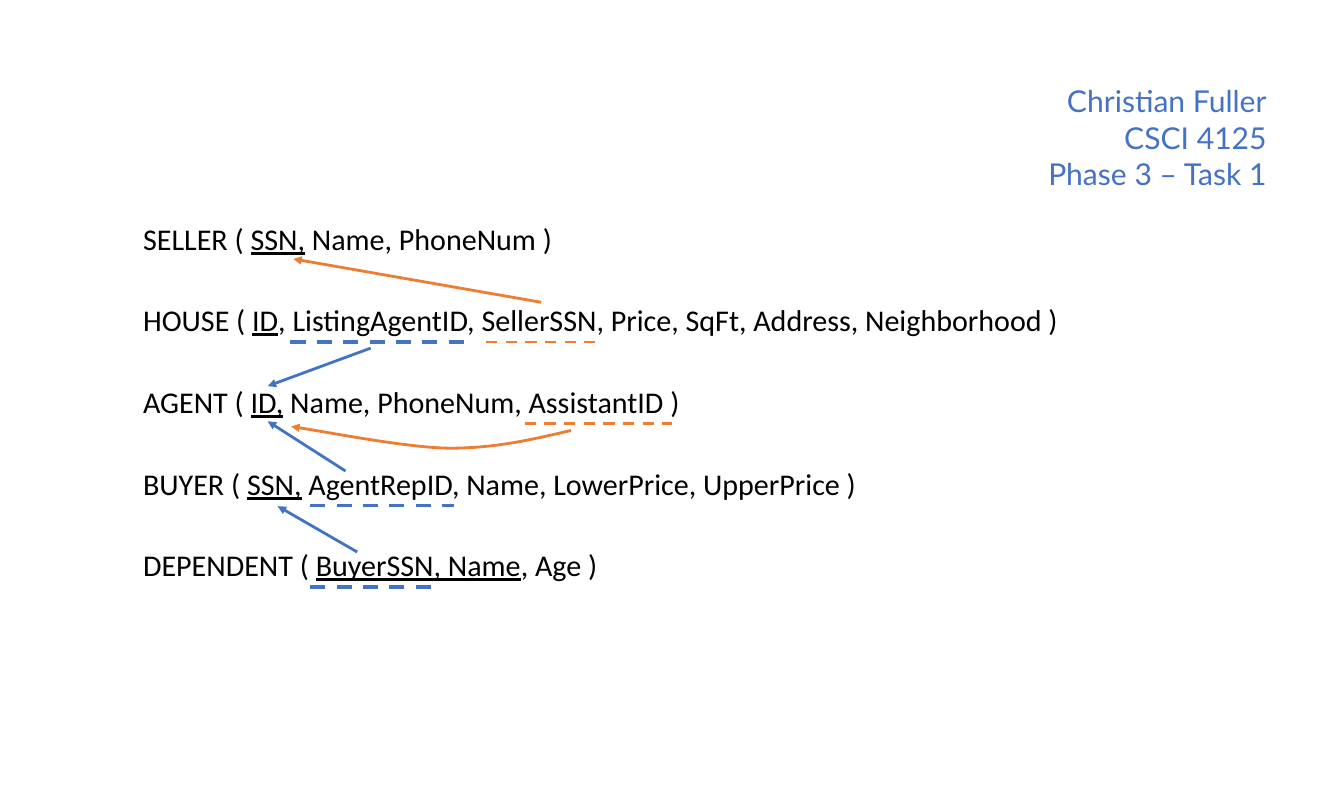
from lxml.etree import SubElement
from pptx import Presentation
from pptx.dml.color import RGBColor
from pptx.enum.dml import MSO_LINE
from pptx.enum.shapes import MSO_CONNECTOR
from pptx.enum.text import MSO_AUTO_SIZE, PP_ALIGN
from pptx.oxml.ns import qn
from pptx.util import Cm, Pt

BLUE = RGBColor(0x44, 0x72, 0xC4)
ORANGE = RGBColor(0xED, 0x7D, 0x31)
BLACK = RGBColor(0, 0, 0)

PITCH = 2.3        # distance between relation rows
KEY_DROP = 1.26    # foreign-key underline below the top of its row

# before the key, key, after the key, width
RELATIONS = [
    ("SELLER ( ", "SSN,", " Name, PhoneNum )", 12.55),
    ("HOUSE ( ", "ID",
     ", ListingAgentID, SellerSSN, Price, SqFt, Address, Neighborhood )", 26.7),
    ("AGENT ( ", "ID,", " Name, PhoneNum, AssistantID )", 15.95),
    ("BUYER ( ", "SSN,", " AgentRepID, Name, LowerPrice, UpperPrice )", 20.98),
    ("DEPENDENT ( ", "BuyerSSN, Name", ", Age )", 13.61),
]
# row, start, end, colour, weight
FOREIGN_KEYS = [
    (4, 4.96, 8.59, BLUE, 3),
    (3, 4.96, 9, BLUE, 3),
    (1, 4.4, 9.53, BLUE, 3),
    (1, 9.91, 12.98, ORANGE, 2.25),
    (2, 11, 15.14, ORANGE, 2.25),
]
# start, end, colour
REFERENCES = [
    ((6.28, 9.47), (4.04, 8.18), BLUE),
    ((5.95, 7.19), (3.76, 5.79), BLUE),
    ((6.66, 3.73), (3.76, 4.8), BLUE),
    ((11.46, 2.44), (4.48, 1.22), ORANGE),
]
# The assistant's reference to its own table, as two Bezier pieces
ASSISTANT_CURVE = [
    ((12.3, 6.05), (11.23, 6.3), (10.19, 6.55), (8.87, 6.55)),
    ((8.87, 6.55), (7.55, 6.53), (5.06, 6.02), (4.42, 5.94)),
]


def add_text(slide, box, lines, font="Calibri", size=24, color=BLACK,
             align=PP_ALIGN.LEFT, wrap=False):
    """Each line is a list of (text, underlined) runs."""
    frame = slide.shapes.add_textbox(*map(Cm, box)).text_frame
    frame.word_wrap = wrap
    frame.auto_size = MSO_AUTO_SIZE.SHAPE_TO_FIT_TEXT
    for i, runs in enumerate(lines):
        para = frame.add_paragraph() if i else frame.paragraphs[0]
        para.alignment = align
        for text, underlined in runs:
            run = para.add_run()
            run.text = text
            run.font.name = font
            run.font.size = Pt(size)
            run.font.color.rgb = color
            run.font.underline = underlined


def style_line(shape, color, weight=2.25, dash=None, arrow=False):
    shape.line.color.rgb = color
    shape.line.width = Pt(weight)
    if dash:
        shape.line.dash_style = dash
    if arrow:
        SubElement(shape.line._get_or_add_ln(), qn("a:tailEnd"), type="triangle")


def add_line(slide, start, end, color, **style):
    line = slide.shapes.add_connector(
        MSO_CONNECTOR.STRAIGHT, *map(Cm, (*start, *end)))
    style_line(line, color, **style)
    SubElement(line._element.spPr, qn("a:effectLst"))


def bezier(points, steps=16):
    """Points along a cubic curve, leaving out its start."""
    for i in range(1, steps + 1):
        t = i / steps
        weights = ((1 - t) ** 3, 3 * t * (1 - t) ** 2, 3 * t * t * (1 - t), t ** 3)
        yield tuple(sum(w * p[axis] for w, p in zip(weights, points))
                    for axis in (0, 1))


def add_curve(slide, left, top, pieces, color):
    def place(point):
        return Cm(left + point[0]), Cm(top + point[1])

    builder = slide.shapes.build_freeform(*place(pieces[0][0]))
    builder.add_line_segments(
        [place(p) for piece in pieces for p in bezier(piece)], close=False)
    curve = builder.convert_to_shape()
    curve.fill.background()
    curve.shadow.inherit = False
    style_line(curve, color, arrow=True)


def add_heading(slide, box):
    lines = ("Christian Fuller", "CSCI 4125", "Phase 3 – Task 1")
    add_text(slide, box, [[(line, False)] for line in lines], font="Lato",
             color=BLUE, align=PP_ALIGN.RIGHT, wrap=True)


def add_schema(slide, left, top):
    for row, (before, key, after, width) in enumerate(RELATIONS):
        add_text(slide, (left, top + row * PITCH, width, 1.27),
                 [[(before, False), (key, True), (after, False)]])
    for row, start, end, color, weight in FOREIGN_KEYS:
        y = top + row * PITCH + KEY_DROP
        add_line(slide, (left + start, y), (left + end, y), color,
                 weight=weight, dash=MSO_LINE.DASH)
    for (x1, y1), (x2, y2), color in REFERENCES:
        add_line(slide, (left + x1, top + y1), (left + x2, top + y2), color,
                 arrow=True)
    add_curve(slide, left, top, ASSISTANT_CURVE, ORANGE)


def main():
    deck = Presentation()
    deck.slide_width, deck.slide_height = Cm(37.85), Cm(22.86)
    slide = deck.slides.add_slide(deck.slide_layouts[6])
    add_heading(slide, (27.79, 2.21, 8.13, 3.33))
    add_schema(slide, 3.78, 6.07)
    deck.save("out.pptx")


if __name__ == "__main__":
    main()
